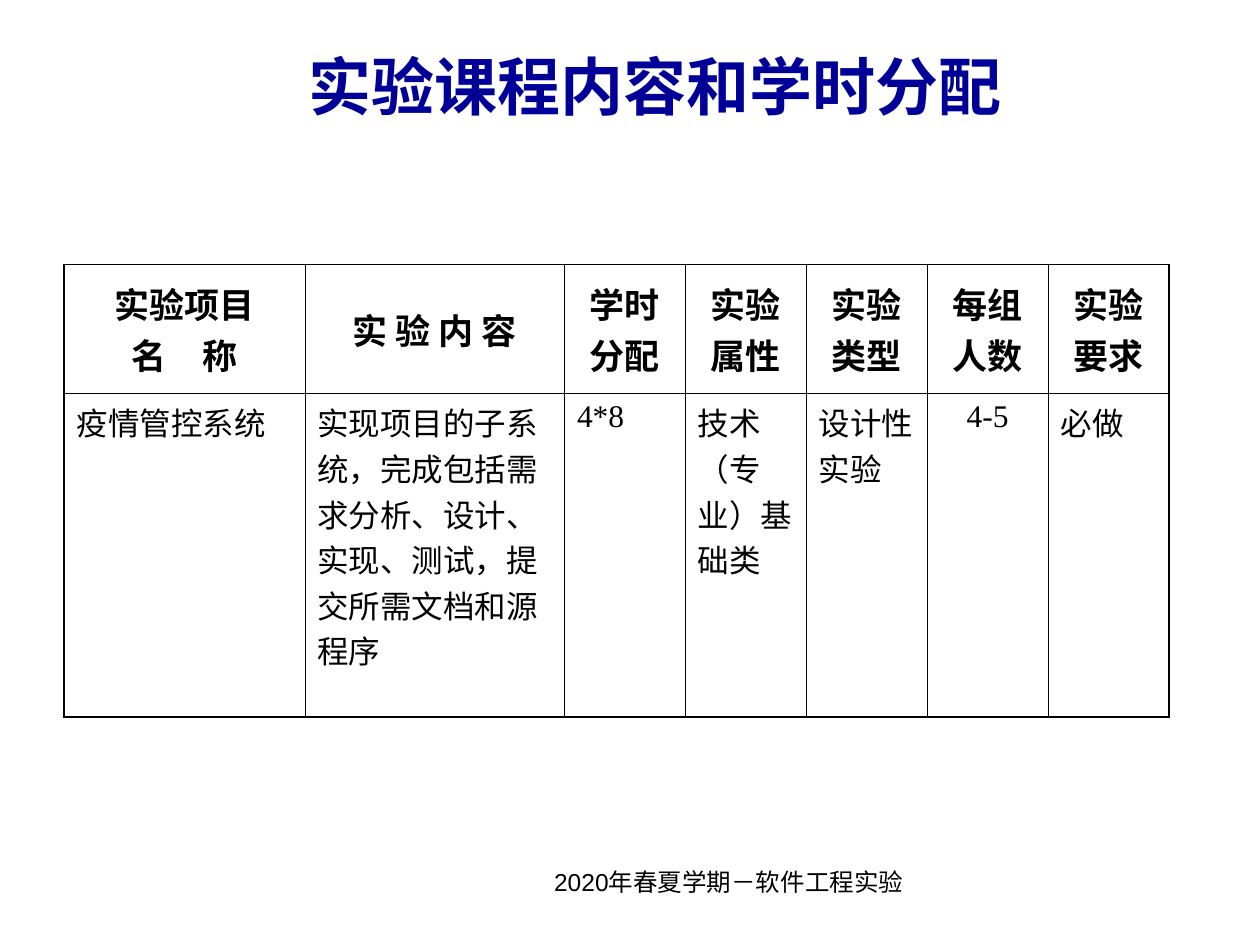
from lxml import etree
from pptx import Presentation
from pptx.dml.color import RGBColor
from pptx.enum.text import MSO_ANCHOR, PP_ALIGN
from pptx.oxml.ns import qn
from pptx.util import Inches, Pt

CENTER, LEFT = PP_ALIGN.CENTER, PP_ALIGN.LEFT
MIDDLE, TOP = MSO_ANCHOR.MIDDLE, MSO_ANCHOR.TOP

BLACK, NAVY = "000000", "000099"
ARIAL, TIMES, CJK = "Arial", "Times New Roman", "Noto Sans CJK SC"
OUTER_PT, INNER_PT = 0.96, 0.45

COLUMN_WIDTHS = [1.91, 2.06] + [0.96] * 5
ROW_HEIGHTS = [1.02, 2.57]
HEADERS = [
    ["实验项目", "名　称"],
    ["实 验 内 容"],
    ["学时", "分配"],
    ["实验", "属性"],
    ["实验", "类型"],
    ["每组", "人数"],
    ["实验", "要求"],
]
PROJECT = [
    ("疫情管控系统", ARIAL, LEFT),
    ("实现项目的子系统，完成包括需求分析、设计、实现、测试，提交所需文档和源程序", TIMES, LEFT),
    ("4*8", TIMES, LEFT),
    ("技术（专业）基础类", CJK, LEFT),
    ("设计性实验", TIMES, LEFT),
    ("4-5", TIMES, CENTER),
    ("必做", TIMES, LEFT),
]


def rgb(color):
    return RGBColor.from_string(color)


def write_lines(frame, lines, size, latin, color=BLACK, bold=False, align=CENTER):
    """Put each line in its own paragraph, with a CJK font beside the Latin one."""
    frame.word_wrap = True
    for index, line in enumerate(lines):
        paragraph = frame.add_paragraph() if index else frame.paragraphs[0]
        paragraph.alignment = align
        run = paragraph.add_run()
        run.text = line
        font = run.font
        font.size, font.name, font.bold = Pt(size), latin, bold
        font.color.rgb = rgb(color)
        east_asian = etree.Element(qn("a:ea"), typeface=CJK)
        run._r.get_or_add_rPr().find(qn("a:latin")).addnext(east_asian)


def add_text(slide, left, top, width, height, text, size, anchor=TOP, **style):
    box = slide.shapes.add_textbox(
        Inches(left), Inches(top), Inches(width), Inches(height))
    box.text_frame.vertical_anchor = anchor
    write_lines(box.text_frame, [text], size, ARIAL, **style)


def set_borders(cell, widths):
    """Draw the cell's left, right, top and bottom lines, in that order."""
    properties = cell._tc.get_or_add_tcPr()
    for index, (side, width) in enumerate(zip("LRTB", widths)):
        line = etree.Element(qn(f"a:ln{side}"), w=str(int(Pt(width))))
        fill = etree.SubElement(line, qn("a:solidFill"))
        etree.SubElement(fill, qn("a:srgbClr"), val=BLACK)
        properties.insert(index, line)


def add_schedule(slide):
    rows, columns = len(ROW_HEIGHTS), len(COLUMN_WIDTHS)
    table = slide.shapes.add_table(
        rows, columns, Inches(0.51), Inches(2.1),
        Inches(sum(COLUMN_WIDTHS)), Inches(sum(ROW_HEIGHTS))).table
    table.first_row = table.horz_banding = False
    for column, width in zip(table.columns, COLUMN_WIDTHS):
        column.width = Inches(width)
    for row, height in zip(table.rows, ROW_HEIGHTS):
        row.height = Inches(height)

    for c, (header, (detail, latin, align)) in enumerate(zip(HEADERS, PROJECT)):
        heading, body = table.cell(0, c), table.cell(1, c)
        heading.vertical_anchor, body.vertical_anchor = MIDDLE, TOP
        write_lines(heading.text_frame, header, 20, TIMES, bold=True)
        write_lines(body.text_frame, [detail], 18, latin, align=align)
        for r, cell in enumerate((heading, body)):
            cell.fill.background()
            on_edge = (c == 0, c == columns - 1, r == 0, r == rows - 1)
            set_borders(cell, [OUTER_PT if edge else INNER_PT for edge in on_edge])


def main():
    presentation = Presentation()
    presentation.slide_width, presentation.slide_height = Inches(10), Inches(7.5)
    slide = presentation.slides.add_slide(presentation.slide_layouts[6])
    add_text(slide, 0.9, 0.21, 8.6, 0.93, "实验课程内容和学时分配", 36,
             anchor=MIDDLE, color=NAVY, bold=True)
    add_schedule(slide)
    add_text(slide, 4.2, 6.83, 3.17, 0.52, "2020年春夏学期－软件工程实验", 14)
    presentation.save("out.pptx")


if __name__ == "__main__":
    main()
